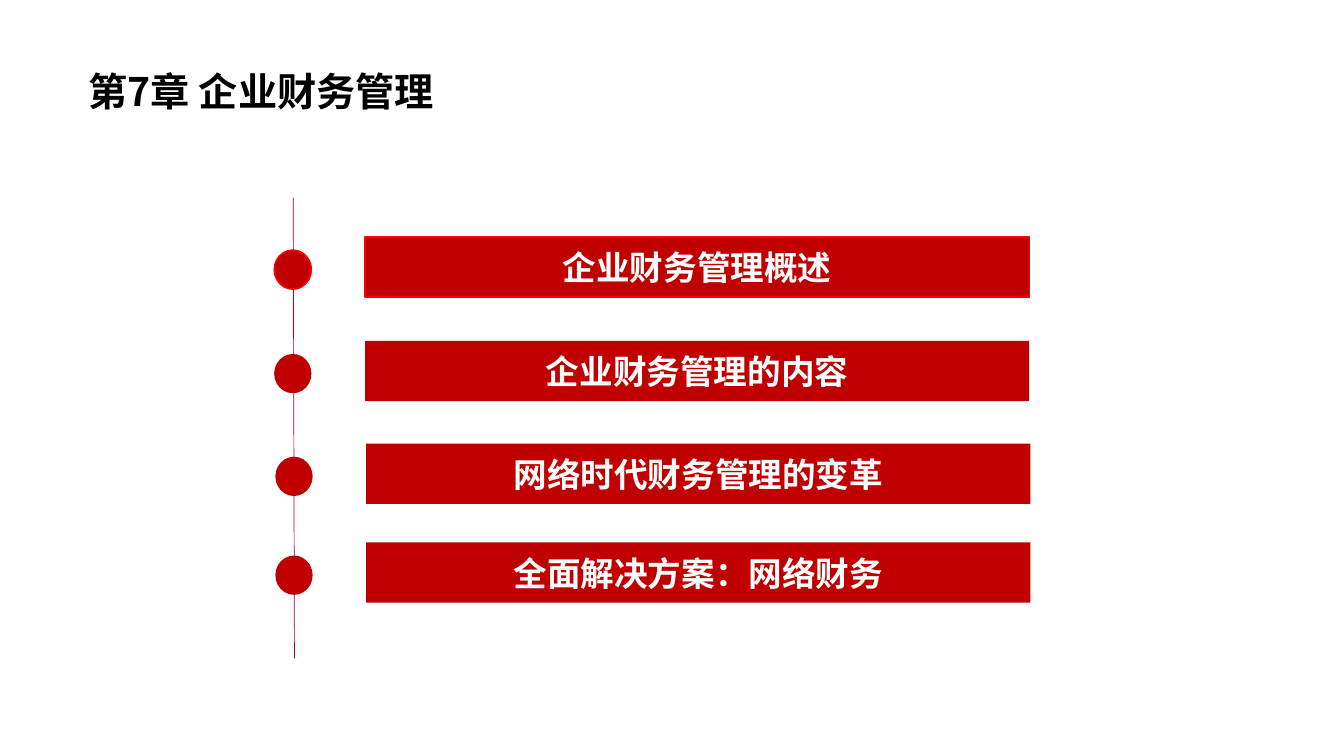
import pptx
import pptx.util
import pptx.dml.color
import pptx.enum.shapes
import pptx.enum.text
import pptx.oxml
import pptx.oxml.ns

Cm = pptx.util.Cm
Pt = pptx.util.Pt
SHAPES = pptx.enum.shapes.MSO_SHAPE
ALIGN = pptx.enum.text.PP_ALIGN
FONT = "Noto Sans CJK SC"
COLORS = {"bar": "C00000", "outline": "FF0000", "timeline": "A50021",
          "title": "000000", "label": "FFFFFF"}


def add_block(kind, left, top, width, height, fill=None, outline=None):
    """Add a flat shape; without fill or outline it stays invisible."""
    shape = slide.shapes.add_shape(kind, Cm(left), Cm(top), Cm(width), Cm(height))
    shape.shadow.inherit = False
    for part, color in ((shape.fill, fill), (shape.line.fill, outline)):
        if color:
            part.solid()
            part.fore_color.rgb = pptx.dml.color.RGBColor.from_string(COLORS[color])
        else:
            part.background()
    if outline:
        shape.line.width = Pt(1)
    return shape


def write_text(shape, text, size, color, alignment):
    text_frame = shape.text_frame
    text_frame.text = text
    text_frame.word_wrap = True
    text_frame.vertical_anchor = pptx.enum.text.MSO_ANCHOR.MIDDLE
    paragraph = text_frame.paragraphs[0]
    paragraph.alignment = alignment
    font = paragraph.runs[0].font
    font.size = Pt(size)
    font.bold = True
    font.name = FONT
    font.color.rgb = pptx.dml.color.RGBColor.from_string(COLORS[color])
    east_asian = pptx.oxml.parse_xml(
        f'<a:ea {pptx.oxml.ns.nsdecls("a")} typeface="{FONT}"/>')
    font._element.find(pptx.oxml.ns.qn("a:latin")).addnext(east_asian)


presentation = pptx.Presentation()
presentation.slide_width = Cm(33.87)
presentation.slide_height = Cm(19.05)
slide = presentation.slides.add_slide(presentation.slide_layouts[6])

timeline = slide.shapes.add_connector(
    pptx.enum.shapes.MSO_CONNECTOR.STRAIGHT, Cm(7.39), Cm(4.98), Cm(7.42), Cm(16.59))
timeline.line.color.rgb = pptx.dml.color.RGBColor.from_string(COLORS["timeline"])
timeline.line.width = Pt(0.5)
timeline._element.spPr.append(
    pptx.oxml.parse_xml(f'<a:effectLst {pptx.oxml.ns.nsdecls("a")}/>'))

title = add_block(SHAPES.ROUNDED_RECTANGLE, 1.88, 1.22, 20.07, 2.16)
write_text(title, "第7章 企业财务管理", 28, "title", ALIGN.JUSTIFY)

# Label, left and top of the bar, outline
sections = [
    ("企业财务管理概述", 9.2, 5.97, "outline"),
    ("企业财务管理的内容", 9.2, 8.59, None),
    ("网络时代财务管理的变革", 9.23, 11.18, None),
    ("全面解决方案：网络财务", 9.23, 13.67, None),
]
for label, left, top, outline in sections:
    add_block(SHAPES.OVAL, left - 2.29, top + 0.33, 0.94, 0.99, "bar", outline)
    bar = add_block(SHAPES.RECTANGLE, left, top, 16.74, 1.52, "bar", outline)
    write_text(bar, label, 24, "label", ALIGN.CENTER)

presentation.save("out.pptx")
